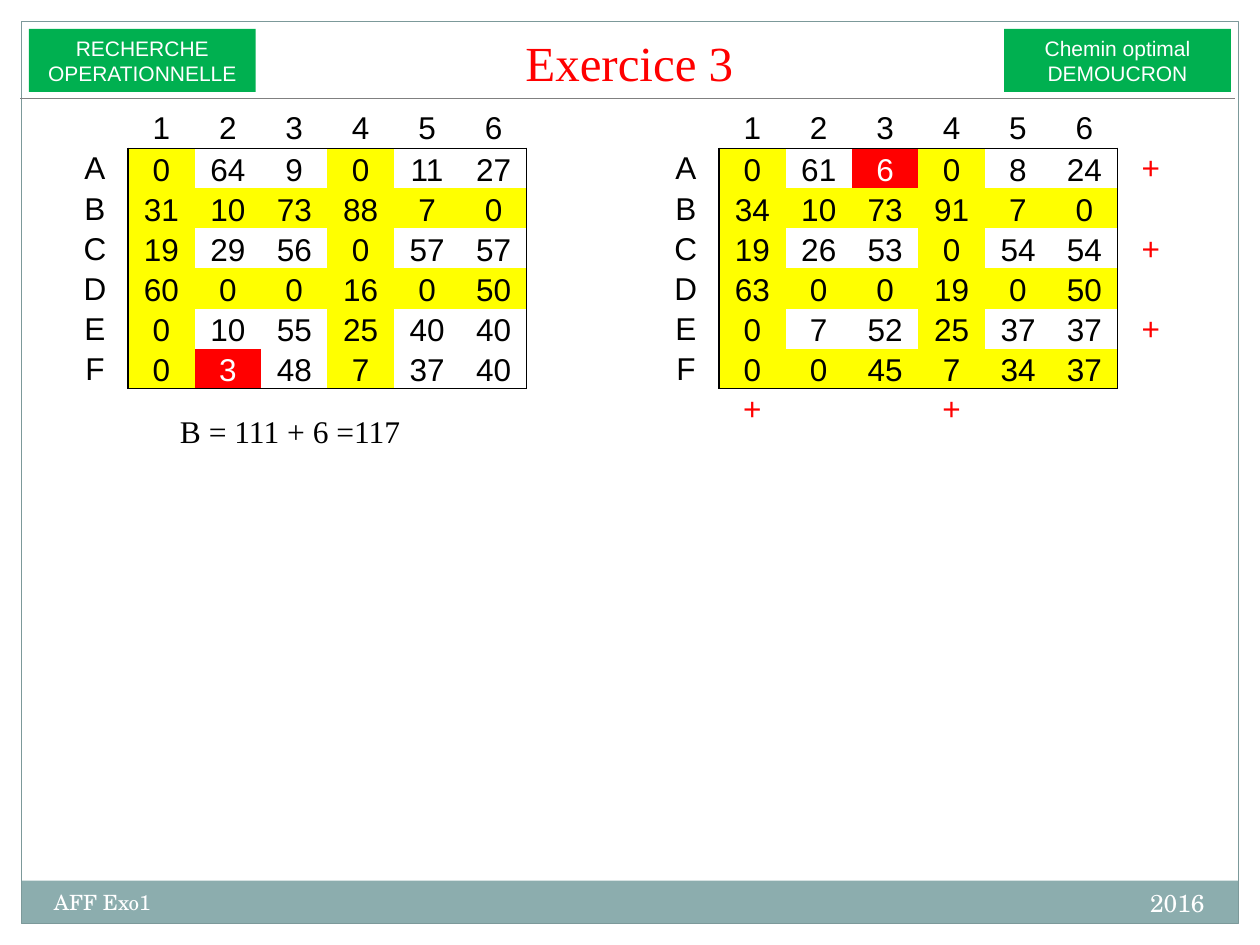
from dataclasses import dataclass

from lxml.etree import SubElement
from pptx import Presentation
from pptx.dml.color import RGBColor
from pptx.enum.shapes import MSO_CONNECTOR, MSO_SHAPE
from pptx.enum.text import MSO_ANCHOR as ANCHOR, PP_ALIGN as ALIGN
from pptx.oxml.ns import qn
from pptx.util import Inches, Pt


@dataclass(frozen=True)
class Theme:
    """Colours, fonts and type sizes of the slide."""
    paper: str = "FFFFFF"
    ink: str = "000000"
    band: str = "8CADAE"
    frame: str = "7C999A"
    rule: str = "808080"
    badge: str = "00B050"
    crossed: str = "FFFF00"
    accent: str = "FF0000"
    sans: str = "Arial"
    serif: str = "Times New Roman"
    footer: str = "TeX Gyre Schola"
    title_size: int = 28
    body_size: int = 18
    year_size: int = 14
    small_size: int = 12
    hairline: float = 0.75
    border: float = 1


@dataclass(frozen=True)
class Box:
    """A region in grid columns and rows."""
    left: float
    top: float
    width: float
    height: float

    def lengths(self):
        """Return left, top, width and height as slide lengths."""
        return [grid(n) for n in (self.left, self.top, self.width, self.height)]


@dataclass(frozen=True)
class Step:
    """One cost matrix with its crossed lines and its pivot."""
    costs: tuple
    crossed_rows: str
    crossed_columns: str
    pivot: str
    marked: bool = False


THEME = Theme()
COLUMNS, ROWS = 100, 75
ROW_LABELS, COLUMN_LABELS = "ABCDEF", "123456"
NO_STYLE = "{2D5ABB26-0587-4C30-8999-92F81FD0307C}"
BORDER_SIDES = {"a:lnL": (0, -1), "a:lnR": (0, 1), "a:lnT": (-1, 0), "a:lnB": (1, 0)}

BEFORE = Step(
    ((0, 64, 9, 0, 11, 27), (31, 10, 73, 88, 7, 0), (19, 29, 56, 0, 57, 57),
     (60, 0, 0, 16, 0, 50), (0, 10, 55, 25, 40, 40), (0, 3, 48, 7, 37, 40)),
    crossed_rows="BD", crossed_columns="14", pivot="F2")
AFTER = Step(
    ((0, 61, 6, 0, 8, 24), (34, 10, 73, 91, 7, 0), (19, 26, 53, 0, 54, 54),
     (63, 0, 0, 19, 0, 50), (0, 7, 52, 25, 37, 37), (0, 0, 45, 7, 34, 37)),
    crossed_rows="BDF", crossed_columns="14", pivot="A3", marked=True)


def grid(units):
    """Turn grid units, a tenth of an inch each, into a slide length."""
    return Inches(units / 10)


def colour(code):
    """Turn a hex code into a colour."""
    return RGBColor.from_string(code)


def write(frame, text, size=THEME.body_size, font=THEME.sans, ink=THEME.ink,
          align=ALIGN.LEFT, anchor=ANCHOR.TOP):
    """Write each line of text as a formatted paragraph."""
    frame.word_wrap = True
    frame.vertical_anchor = anchor
    for number, line in enumerate(text.split("\n")):
        paragraph = frame.add_paragraph() if number else frame.paragraphs[0]
        paragraph.alignment = align
        run = paragraph.add_run()
        run.text = line
        run.font.size, run.font.name = Pt(size), font
        run.font.color.rgb = colour(ink)


def add_label(slide, box, text, **style):
    """Place a text box."""
    write(slide.shapes.add_textbox(*box.lengths()).text_frame, text, **style)


def add_panel(slide, box, fill=None, line=None):
    """Place a plain rectangle."""
    panel = slide.shapes.add_shape(MSO_SHAPE.RECTANGLE, *box.lengths())
    panel.shadow.inherit = False
    if fill:
        panel.fill.solid()
        panel.fill.fore_color.rgb = colour(fill)
    else:
        panel.fill.background()
    if line:
        panel.line.color.rgb = colour(line)
        panel.line.width = Pt(THEME.hairline)
    else:
        panel.line.fill.background()
    return panel


def add_page_frame(slide, box):
    """Draw the margins, the footer band and the page outline."""
    margin = box.left
    for edge in (Box(0, 0, COLUMNS, margin), Box(COLUMNS - margin, 0, margin, ROWS),
                 Box(0, 0, margin, ROWS)):
        add_panel(slide, edge, fill=THEME.paper)
    band_top = box.top + box.height - 3.4
    add_panel(slide, Box(box.left, band_top, box.width, 3.4), fill=THEME.band)
    add_panel(slide, box, line=THEME.frame)
    footer = dict(font=THEME.footer, ink=THEME.paper)
    add_label(slide, Box(box.left + 61.6, band_top + 0.1, 33.3, 4), "2016",
              size=THEME.year_size, align=ALIGN.RIGHT, **footer)
    add_label(slide, Box(box.left + 1.6, band_top + 0.2, 39.2, 4), "AFF Exo1",
              size=THEME.small_size, **footer)


def add_header(slide, box):
    """Draw the title between two badges, above a rule."""
    add_label(slide, Box(box.left + 17.1, box.top - 0.9, 62.5, 6.9), "Exercice 3",
              size=THEME.title_size, font=THEME.serif, ink=THEME.accent,
              align=ALIGN.CENTER, anchor=ANCHOR.BOTTOM)
    badges = {box.left + 0.7: "RECHERCHE\nOPERATIONNELLE",
              box.left + box.width - 18.3: "Chemin optimal\nDEMOUCRON"}
    for left, text in badges.items():
        badge = add_panel(slide, Box(left, box.top + 0.6, 18, 5), fill=THEME.badge)
        write(badge.text_frame, text, size=THEME.small_size, ink=THEME.paper,
              align=ALIGN.CENTER, anchor=ANCHOR.MIDDLE)
    bottom = grid(box.top + box.height)
    rule = slide.shapes.add_connector(MSO_CONNECTOR.STRAIGHT, grid(box.left), bottom,
                                      grid(box.left + box.width), bottom)
    rule.line.color.rgb = colour(THEME.rule)
    rule.line.width = Pt(THEME.hairline)
    SubElement(rule.element.spPr, qn("a:effectLst"))


def in_matrix(row, column):
    """Tell whether a table position holds a cost."""
    return 1 <= row <= len(ROW_LABELS) and 1 <= column <= len(COLUMN_LABELS)


def add_borders(cell, row, column):
    """Draw the sides on the matrix outline and clear all the others."""
    properties = cell._tc.get_or_add_tcPr()
    for tag, (down, across) in BORDER_SIDES.items():
        line = SubElement(properties, qn(tag), w=str(Pt(THEME.border)))
        if in_matrix(row, column) != in_matrix(row + down, column + across):
            fill = SubElement(line, qn("a:solidFill"))
            SubElement(fill, qn("a:srgbClr"), val=THEME.ink)
        else:
            SubElement(line, qn("a:noFill"))


def cell_content(step, row, column):
    """Return the text, ink, fill and anchor of a table position."""
    row_label = (" " + ROW_LABELS + "  ")[row].strip()
    column_label = (" " + COLUMN_LABELS + " ")[column].strip()
    if in_matrix(row, column):
        text = str(step.costs[row - 1][column - 1])
        if row_label + column_label == step.pivot:
            return text, THEME.paper, THEME.accent, ANCHOR.BOTTOM
        crossed = row_label in step.crossed_rows or column_label in step.crossed_columns
        return text, THEME.ink, THEME.crossed if crossed else THEME.paper, ANCHOR.BOTTOM
    if row == 0 or column == 0:
        return row_label + column_label, THEME.ink, None, ANCHOR.MIDDLE
    beside = column_label == "" and row_label and row_label not in step.crossed_rows
    below = row == len(ROW_LABELS) + 1 and column_label and column_label in step.crossed_columns
    return "+" if step.marked and (beside or below) else "", THEME.accent, None, ANCHOR.MIDDLE


def add_matrix(slide, box, step):
    """Place a labelled cost matrix as a table."""
    rows, columns = len(ROW_LABELS) + 3, len(COLUMN_LABELS) + 2
    holder = slide.shapes.add_table(rows, columns, *box.lengths())
    table = holder.table
    table.first_row = table.horz_banding = False
    for style in holder.element.iter(qn("a:tableStyleId")):
        style.text = NO_STYLE
    for row in range(rows):
        for column in range(columns):
            cell = table.cell(row, column)
            text, ink, fill, anchor = cell_content(step, row, column)
            add_borders(cell, row, column)
            cell.margin_left = cell.margin_right = cell.margin_top = grid(0.1)
            cell.margin_bottom = 0
            if fill:
                cell.fill.solid()
                cell.fill.fore_color.rgb = colour(fill)
            else:
                cell.fill.background()
            if text:
                write(cell.text_frame, text, ink=ink, align=ALIGN.CENTER)
            cell.vertical_anchor = anchor


def main():
    """Build and save the slide."""
    deck = Presentation()
    deck.slide_width, deck.slide_height = grid(COLUMNS), grid(ROWS)
    slide = deck.slides.add_slide(deck.slide_layouts[6])
    add_page_frame(slide, Box(1.7, 1.7, 96.6, 71.6))
    add_header(slide, Box(1.6, 1.7, 96.4, 6.1))
    for left, step in ((4.9, BEFORE), (51.8, AFTER)):
        add_matrix(slide, Box(left, 8.6, 42.2, 28.6), step)
    add_label(slide, Box(13.3, 32.2, 24.4, 4), "B = 111 + 6 =117", font=THEME.serif)
    deck.save("out.pptx")


if __name__ == "__main__":
    main()
